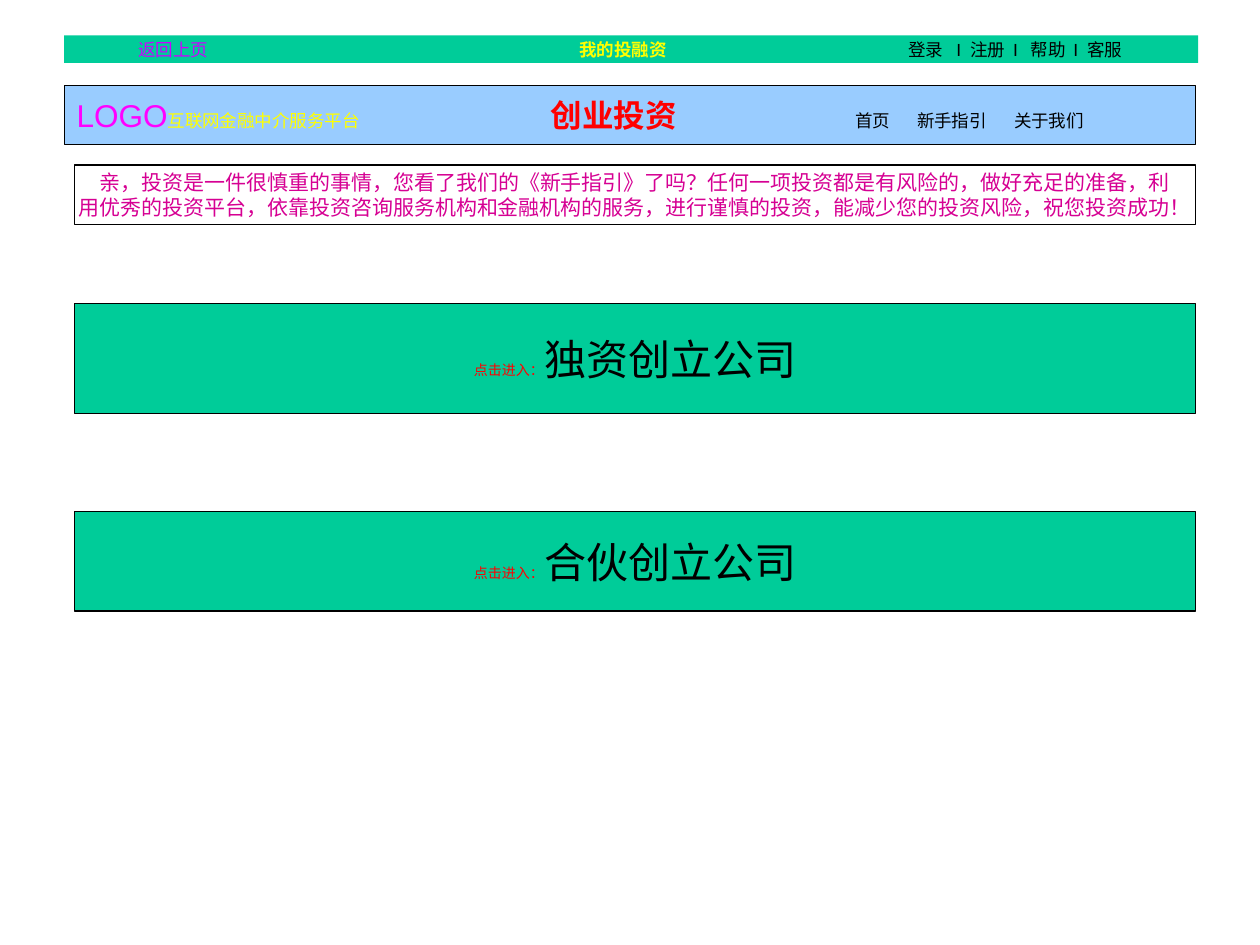
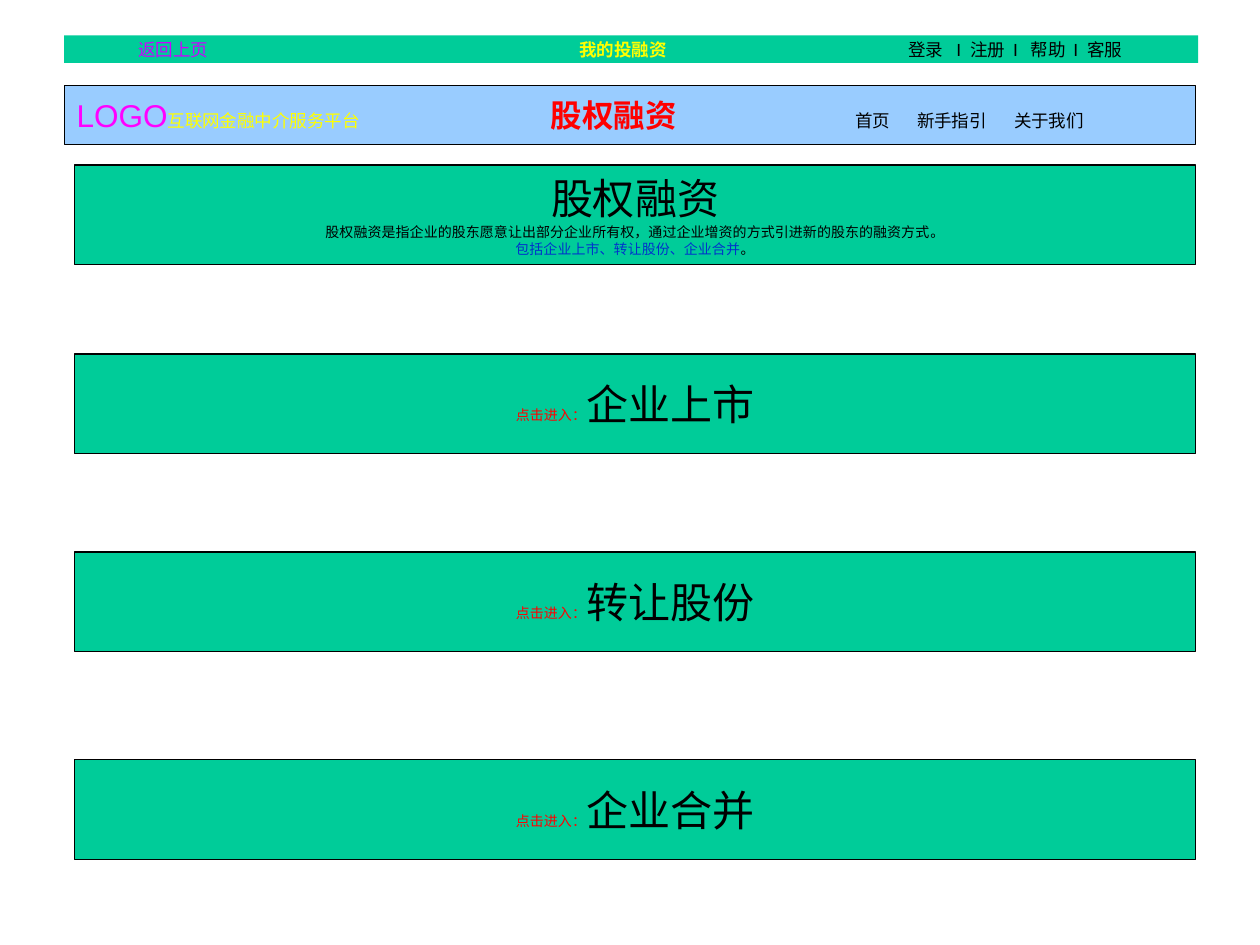
from lxml import etree
from pptx import Presentation
from pptx import util as u
from pptx.dml.color import RGBColor
from pptx.enum import shapes, text
from pptx.oxml import ns

GREEN, SKY, BLACK, RED, YELLOW = "00CC99", "99CCFF", "000000", "FF0000", "FFFF00"
MAGENTA, PURPLE, ROSE, BLUE = "FF00FF", "CC00FF", "D60093", "0033CC"
SANS, SERIF = "Arial", "Times New Roman"
HEADER_TOP, HEADER_HEIGHT = 6.8, 4.7


def color(value):
    return RGBColor.from_string(value)


def run(words, size, tint=BLACK, name=SANS, bold=False):
    return words, {"size": u.Pt(size), "name": name, "bold": bold}, tint


class Page:
    COLUMNS, ROWS = 100, 75
    PANEL_LEFT, PANEL_WIDTH, PANEL_HEIGHT = 5.9, 89, 7.9

    def __init__(self, presentation):
        self.presentation = presentation
        self.column = presentation.slide_width / self.COLUMNS
        self.row = presentation.slide_height / self.ROWS
        self.slide = None

    def start(self):
        self.slide = self.presentation.slides.add_slide(self.presentation.slide_layouts[5])

    def place(self, shape, left, top, width, height):
        box = {"left": left * self.column, "top": top * self.row,
               "width": width * self.column, "height": height * self.row}
        for key, value in box.items():
            setattr(shape, key, u.Emu(round(value)))

    def fill_text(self, shape, lines, align=text.PP_ALIGN.CENTER, stops=(), inset=1, wrap=True):
        frame = shape.text_frame
        style = {"word_wrap": wrap, "auto_size": text.MSO_AUTO_SIZE.NONE,
                 "vertical_anchor": text.MSO_ANCHOR.MIDDLE,
                 "margin_left": u.Emu(round(inset * self.column)), "margin_right": u.Inches(0.1),
                 "margin_top": u.Inches(0.05), "margin_bottom": u.Inches(0.05)}
        for key, value in style.items():
            setattr(frame, key, value)
        for index, runs in enumerate(lines):
            paragraph = frame.add_paragraph() if index else frame.paragraphs[0]
            paragraph.alignment = align
            if stops:
                self.tabs(paragraph, stops)
            for words, values, tint in runs:
                piece = paragraph.add_run()
                piece.text = words
                for key, value in values.items():
                    setattr(piece.font, key, value)
                piece.font.color.rgb = color(tint)

    def tabs(self, paragraph, stops):
        tab_list = etree.SubElement(paragraph._p.get_or_add_pPr(), ns.qn("a:tabLst"))
        for stop in stops:
            etree.SubElement(tab_list, ns.qn("a:tab"), pos=str(round(stop * self.column)), algn="l")

    def band(self, left, top, width, height, lines, fill=GREEN, line=BLACK, **layout):
        shape = self.slide.shapes.add_shape(shapes.MSO_SHAPE.RECTANGLE, 0, 0, 0, 0)
        self.place(shape, left, top, width, height)
        shape.shadow.inherit = False
        if fill:
            shape.fill.solid()
            shape.fill.fore_color.rgb = color(fill)
        else:
            shape.fill.background()
        if line:
            shape.line.color.rgb = color(line)
            shape.line.width = u.Pt(0.75)
        else:
            shape.line.fill.background()
        self.fill_text(shape, lines, **layout)

    def panel(self, top, lines, height=PANEL_HEIGHT, **layout):
        self.band(self.PANEL_LEFT, top, self.PANEL_WIDTH, height, lines, wrap=False, **layout)

    def entry(self, top, name, height=PANEL_HEIGHT):
        self.panel(top, [[run("点击进入：", 8, RED, SERIF), run(name, 24, BLACK, SERIF)]], height)

    def title(self, words):
        title = self.slide.shapes.title
        self.place(title, 42.2, HEADER_TOP, 13, HEADER_HEIGHT)
        self.fill_text(title, [[run(words, 18, RED, bold=True)]])
        self.slide.shapes._spTree.append(title._element)

    def header(self, title):
        left = text.PP_ALIGN.LEFT
        self.band(5.1, 2.8, 90, 2.2, [[
            run("返回上页\t", 10, PURPLE),
            run("我的投融资\t", 10, YELLOW, bold=True),
            run("登录\tI\t注册\tI\t帮助\tI\t客服", 10)]],
            line=None, align=left, inset=5.9,
            stops=(35, 61.1, 64.9, 66, 69.4, 70.8, 74.2, 75.3))
        self.band(5.1, HEADER_TOP, 89.8, HEADER_HEIGHT, [[
            run("LOGO", 18, MAGENTA),
            run("互联网金融中介服务平台\t", 10, YELLOW),
            run("首页\t新手指引\t关于我们", 10)]],
            fill=SKY, align=left, stops=(61.8, 66.7, 74.4))
        self.title(title)


def build_startup(page):
    page.start()
    page.header("创业投资")
    notice = ["亲，投资是一件很慎重的事情，您看了我们的《新手指引》了吗？任何一项投资都是有风险的，做好充足的准备，利",
              "用优秀的投资平台，依靠投资咨询服务机构和金融机构的服务，进行谨慎的投资，能减少您的投资风险，祝您投资成功！"]
    page.panel(13.1, [[run(line, 12, ROSE, SERIF)] for line in notice], 4.7, fill=None)
    page.entry(24.1, "独资创立公司", 8.7)
    page.entry(40.6, "合伙创立公司")


def build_equity(page):
    page.start()
    page.header("股权融资")
    page.panel(13.1, [
        [run("股权融资", 24, name=SERIF)],
        [run("股权融资是指企业的股东愿意让出部分企业所有权，通过企业增资的方式引进新的股东的融资方式", 8),
         run("。", 8, name=SERIF)],
        [run("包括企业上市、转让股份、企业合并", 8, BLUE, SERIF), run("。", 8, name=SERIF)]])
    for top, name in ((28.1, "企业上市"), (43.8, "转让股份"), (60.3, "企业合并")):
        page.entry(top, name)


def main():
    presentation = Presentation()
    presentation.slide_width, presentation.slide_height = u.Inches(10), u.Inches(7.5)
    page = Page(presentation)
    build_startup(page)
    build_equity(page)
    presentation.save("out.pptx")


if __name__ == "__main__":
    main()
